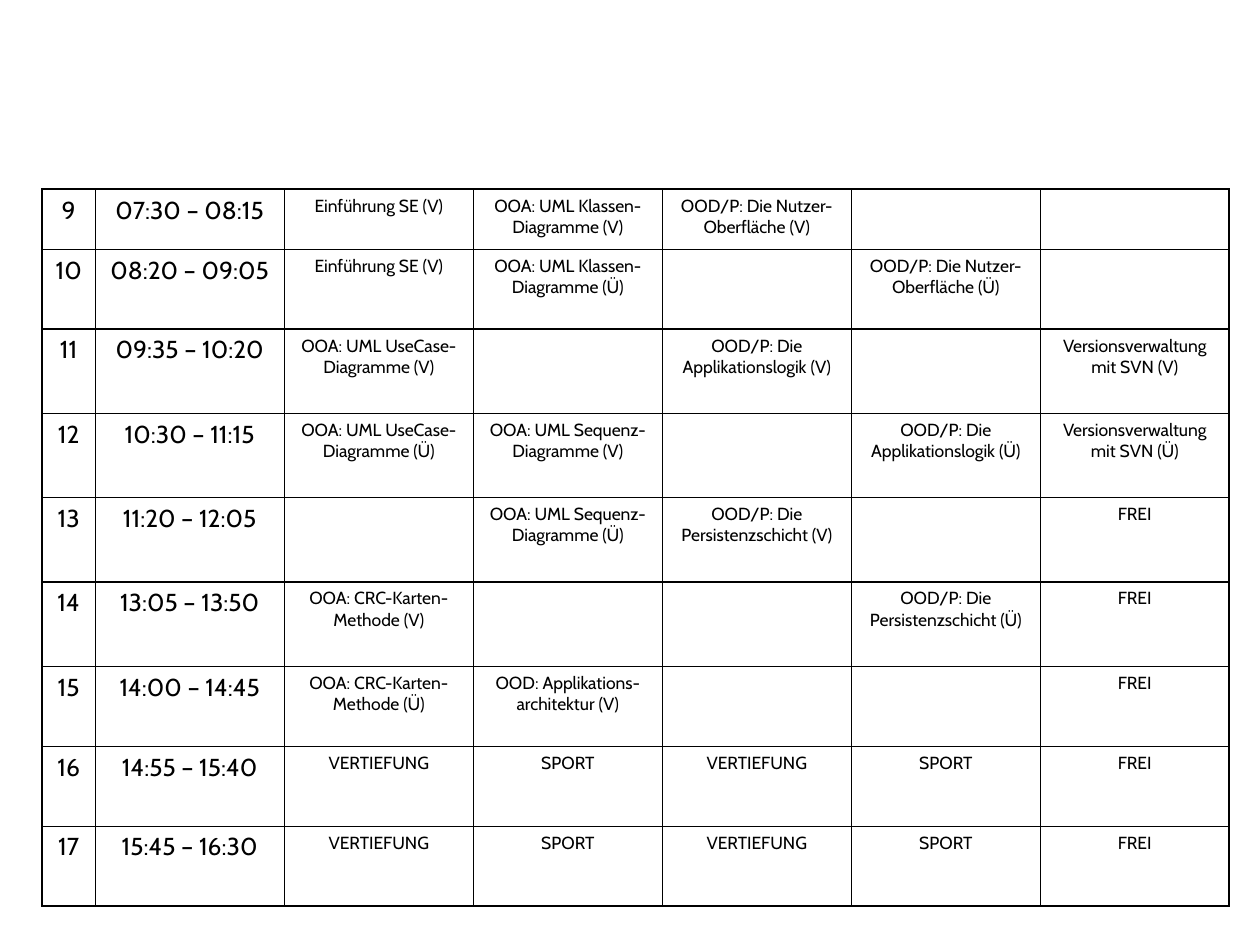
from dataclasses import dataclass

from pptx import Presentation
from pptx.dml.color import RGBColor
from pptx.enum.text import PP_ALIGN as Align
from pptx.oxml.xmlchemy import OxmlElement
from pptx.util import Cm, Pt


@dataclass(frozen=True)
class Theme:
    """Fonts, colours, sizes and line widths of the timetable."""
    font: str = "Cabin"
    ink: str = "000000"
    period_size: int = 14
    lesson_size: int = 10
    hairline: float = 0.45
    thin: float = 0.75
    frame: float = 1.08
    heavy: float = 1.47


THEME = Theme()
BLANK_LAYOUT = 6
PERIOD_COLUMNS = 2
COLUMN_WIDTHS = [1.07] + [3.81] * 6
ROW_HEIGHTS = [1.21, 1.61] + [1.7] * 4 + [1.61] * 3
COLUMN_RULES = [THEME.frame] + [THEME.hairline] * 6 + [THEME.frame]
ROW_RULES = [
    THEME.frame, THEME.hairline, THEME.heavy, THEME.thin, THEME.hairline,
    THEME.heavy, THEME.hairline, THEME.thin, THEME.hairline, THEME.frame,
]
AFTERNOON = ["VERTIEFUNG", "SPORT", "VERTIEFUNG", "SPORT", "FREI"]
TIMETABLE = [
    ["9", "07:30 – 08:15", "Einführung SE (V)", "OOA: UML Klassen-Diagramme (V)",
     "OOD/P: Die Nutzer-Oberfläche (V)", "", ""],
    ["10", "08:20 – 09:05", "Einführung SE (V)", "OOA: UML Klassen-Diagramme (Ü)",
     "", "OOD/P: Die Nutzer-Oberfläche (Ü)", ""],
    ["11", "09:35 – 10:20", "OOA: UML UseCase-Diagramme (V)", "",
     "OOD/P: Die Applikationslogik (V)", "", "Versionsverwaltung mit SVN (V)"],
    ["12", "10:30 – 11:15", "OOA: UML UseCase- Diagramme (Ü)",
     "OOA: UML Sequenz-Diagramme (V)", "",
     "OOD/P: Die Applikationslogik (Ü)", "Versionsverwaltung mit SVN (Ü)"],
    ["13", "11:20 – 12:05", "", "OOA: UML Sequenz-Diagramme (Ü)",
     "OOD/P: Die Persistenzschicht (V)", "", "FREI"],
    ["14", "13:05 – 13:50", "OOA: CRC-Karten-Methode (V)", "", "",
     "OOD/P: Die Persistenzschicht (Ü)", "FREI"],
    ["15", "14:00 – 14:45", "OOA: CRC-Karten-Methode (Ü)",
     "OOD: Applikations-architektur (V)", "", "", "FREI"],
    ["16", "14:55 – 15:40", *AFTERNOON],
    ["17", "15:45 – 16:30", *AFTERNOON],
]


def set_borders(cell, left, right, top, bottom):
    """Draw the four cell borders with the given widths in points."""
    properties = cell._tc.get_or_add_tcPr()
    for side, width in zip("LRTB", (left, right, top, bottom)):
        line = OxmlElement(f"a:ln{side}")
        line.set("w", str(Pt(width)))
        fill = OxmlElement("a:solidFill")
        color = OxmlElement("a:srgbClr")
        color.set("val", THEME.ink)
        fill.append(color)
        line.append(fill)
        properties.append(line)


def fill_cell(cell, text, size):
    """Write centred text into an unfilled cell."""
    cell.fill.background()
    cell.text = text
    para = cell.text_frame.paragraphs[0]
    para.alignment = Align.CENTER
    para.font.name = THEME.font
    para.font.size = Pt(size)
    para.font.color.rgb = RGBColor.from_string(THEME.ink)


def add_timetable(page, left, top):
    """Place the timetable with its upper left corner at the given point."""
    frame = page.shapes.add_table(
        len(ROW_HEIGHTS), len(COLUMN_WIDTHS), left, top,
        Cm(sum(COLUMN_WIDTHS)), Cm(sum(ROW_HEIGHTS)),
    )
    table = frame.table
    table.first_row = False
    table.horz_banding = False
    for column, width in zip(table.columns, COLUMN_WIDTHS):
        column.width = Cm(width)
    for row, height in zip(table.rows, ROW_HEIGHTS):
        row.height = Cm(height)
    for r, entries in enumerate(TIMETABLE):
        for c, text in enumerate(entries):
            cell = table.cell(r, c)
            set_borders(cell, *COLUMN_RULES[c:c + 2], *ROW_RULES[r:r + 2])
            is_period = c < PERIOD_COLUMNS
            fill_cell(cell, text, THEME.period_size if is_period else THEME.lesson_size)


def main():
    """Build and save the timetable deck."""
    deck = Presentation()
    deck.slide_width, deck.slide_height = Cm(25.4), Cm(19.05)
    page = deck.slides.add_slide(deck.slide_layouts[BLANK_LAYOUT])
    add_timetable(page, Cm(0.85), Cm(3.81))
    deck.save("out.pptx")


if __name__ == "__main__":
    main()
